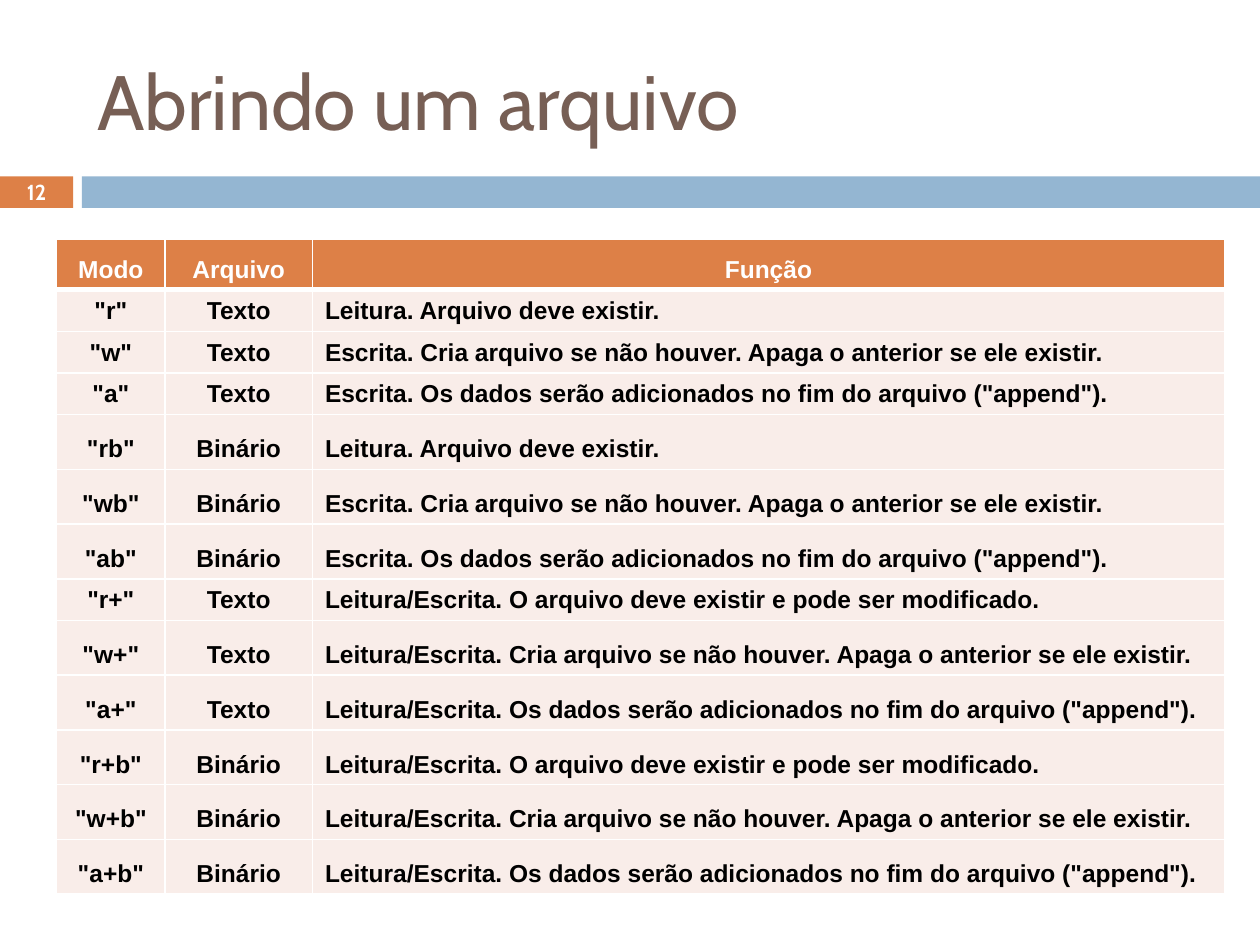
from itertools import product

from lxml import etree
from pptx import Presentation
from pptx.dml.color import RGBColor
from pptx.enum.shapes import MSO_SHAPE
from pptx.enum.text import MSO_ANCHOR, PP_ALIGN
from pptx.oxml.ns import qn
from pptx.util import Inches, Pt

COLORS = {
    "orange": "DD8047",
    "blue": "94B6D2",
    "brown": "775F55",
    "blush": "F9EDE9",
    "white": "FFFFFF",
    "black": "000000",
}
WIDTH, HEIGHT = 10, 7.5

COLUMN_WIDTHS = (0.86, 1.17, 7.24)
HEADER_ROW, SHORT_ROW, TALL_ROW = 0.4, 0.33, 0.435
SHORT_MODES = ("r", "w", "a", "r+")

HEADINGS = ("Modo", "Arquivo", "Função")
READ = "Leitura. Arquivo deve existir."
UPDATE = "Leitura/Escrita. O arquivo deve existir e pode ser modificado."
CREATE = "Escrita. Cria arquivo se não houver. Apaga o anterior se ele existir."
APPEND = 'Escrita. Os dados serão adicionados no fim do arquivo ("append").'
PLAIN_MODES = {"r": READ, "w": CREATE, "a": APPEND}
UPDATE_MODES = {"r+": UPDATE, "w+": f"Leitura/{CREATE}", "a+": f"Leitura/{APPEND}"}


def color(name):
    return RGBColor.from_string(COLORS[name])


def write(frame, text, *, size, font, ink, bold=False,
          align=PP_ALIGN.LEFT, anchor=MSO_ANCHOR.MIDDLE):
    frame.word_wrap = True
    frame.vertical_anchor = anchor
    paragraph = frame.paragraphs[0]
    paragraph.alignment = align
    run = paragraph.add_run()
    run.text = text
    run.font.size = Pt(size)
    run.font.name = font
    run.font.bold = bold
    run.font.color.rgb = color(ink)


def add_bar(slide, left, top, width, height, fill):
    bar = slide.shapes.add_shape(
        MSO_SHAPE.RECTANGLE, *map(Inches, (left, top, width, height)))
    bar.shadow.inherit = False
    bar.fill.solid()
    bar.fill.fore_color.rgb = color(fill)
    bar.line.fill.background()
    return bar


def add_number_band(slide, left, top, width, height, number):
    number_width, gap = 0.58, 0.07
    number_box = add_bar(slide, left, top, number_width, height, "orange")
    frame = number_box.text_frame
    frame.margin_left = frame.margin_right = 0
    frame.margin_top = frame.margin_bottom = 0
    write(frame, number, size=12.4, font="Cabin", ink="white",
          bold=True, align=PP_ALIGN.CENTER)
    offset = number_width + gap
    add_bar(slide, left + offset, top, width - offset, height, "blue")


def place_title(slide, left, top, width, height, text):
    title = slide.shapes.title
    title.left, title.top, title.width, title.height = map(
        Inches, (left, top, width, height))
    write(title.text_frame, text, size=44, font="Cabin", ink="brown")


def set_borders(cell, bottom=1):
    """Draw white rules on all four sides, with the bottom one in points."""
    properties = cell._tc.get_or_add_tcPr()
    for position, side in enumerate(("lnL", "lnR", "lnT", "lnB")):
        points = bottom if side == "lnB" else 1
        line = etree.Element(qn(f"a:{side}"), w=str(Pt(points)))
        fill = etree.SubElement(line, qn("a:solidFill"))
        etree.SubElement(fill, qn("a:srgbClr"), val=COLORS["white"])
        properties.insert(position, line)


def mode_rows():
    """List mode, file type and purpose, text before binary in each group."""
    for modes, (kind, suffix) in product(
            (PLAIN_MODES, UPDATE_MODES), (("Texto", ""), ("Binário", "b"))):
        for mode, purpose in modes.items():
            yield mode + suffix, kind, purpose


def add_mode_table(slide, left, top):
    modes = list(mode_rows())
    heights = [HEADER_ROW] + [
        SHORT_ROW if mode in SHORT_MODES else TALL_ROW for mode, _, _ in modes]
    rows = [HEADINGS] + [(f'"{mode}"', *rest) for mode, *rest in modes]
    table = slide.shapes.add_table(
        len(rows), len(HEADINGS), Inches(left), Inches(top),
        Inches(sum(COLUMN_WIDTHS)), Inches(sum(heights))).table
    for column, width in zip(table.columns, COLUMN_WIDTHS):
        column.width = Inches(width)
    for r, (texts, height) in enumerate(zip(rows, heights)):
        table.rows[r].height = Inches(height)
        is_header = r == 0
        for c, text in enumerate(texts):
            cell = table.cell(r, c)
            cell.fill.solid()
            cell.fill.fore_color.rgb = color("orange" if is_header else "blush")
            set_borders(cell, bottom=3 if is_header else 1)
            cell.vertical_anchor = MSO_ANCHOR.BOTTOM
            centred = is_header or c < 2
            write(cell.text_frame, text, size=14, font="Arial", bold=True,
                  ink="white" if is_header else "black",
                  align=PP_ALIGN.CENTER if centred else PP_ALIGN.LEFT,
                  anchor=MSO_ANCHOR.BOTTOM)


def main():
    presentation = Presentation()
    presentation.slide_width = Inches(WIDTH)
    presentation.slide_height = Inches(HEIGHT)
    slide = presentation.slides.add_slide(presentation.slide_layouts[5])
    add_number_band(slide, 0, 1.4, WIDTH, 0.25, "12")
    place_title(slide, 0.67, 0.25, 8.92, 1.08, "Abrindo um arquivo")
    add_mode_table(slide, 0.45, 1.9)
    presentation.save("out.pptx")


if __name__ == "__main__":
    main()
